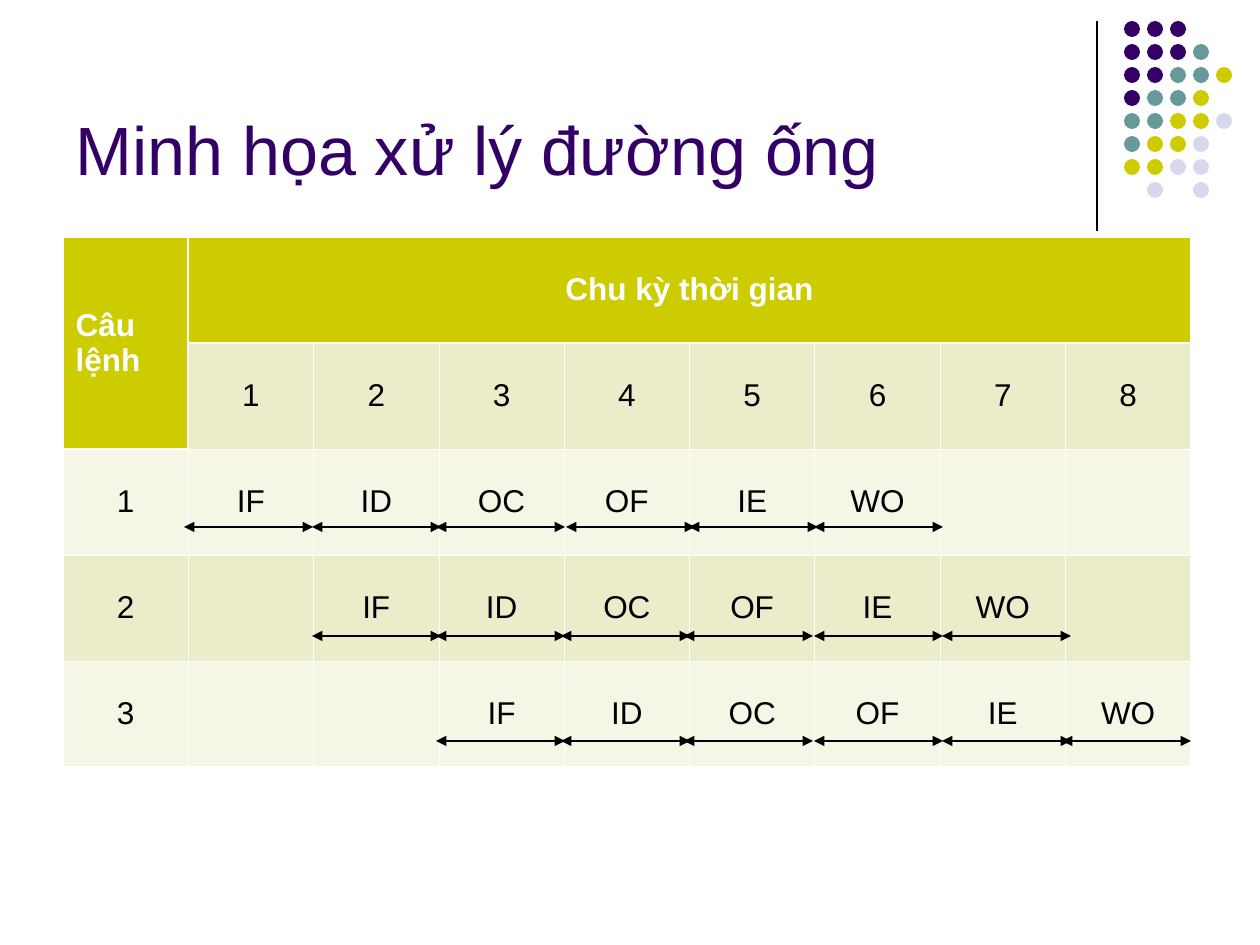
"""Build the slide that illustrates instruction pipelining."""
from dataclasses import dataclass
from typing import Optional

from lxml.etree import SubElement
from pptx import Presentation
from pptx.dml.color import RGBColor as Rgb
from pptx.enum.shapes import MSO_CONNECTOR as Connector, MSO_SHAPE as Shape
from pptx.enum.text import MSO_ANCHOR as Anchor, PP_ALIGN as Align
from pptx.oxml.ns import qn
from pptx.util import Emu, Pt

EMU_PER_PX = 914400 / 126


@dataclass(frozen=True)
class Theme:
    font: str = "Arial"
    purple: str = "330066"
    teal: str = "669999"
    olive: str = "CCCC00"
    lavender: str = "D8D8EC"
    band_dark: str = "ECECCB"
    band_light: str = "F6F6E7"
    white: str = "FFFFFF"
    black: str = "000000"
    title_pt: int = 39
    table_pt: int = 18
    divider_pt: float = 0.75
    arrow_pt: float = 1
    thin_pt: float = 0.45
    heavy_pt: float = 1.47


@dataclass(frozen=True)
class Box:
    left: int
    top: int
    width: int
    height: int

    def emu(self) -> tuple:
        return tuple(px(n) for n in (self.left, self.top, self.width, self.height))


@dataclass(frozen=True)
class Instruction:
    first_cycle: int
    arrow_y: int
    arrow_starts: tuple


THEME = Theme()
SLIDE_WIDTH, SLIDE_HEIGHT = 1260, 945
TITLE_BOX = Box(63, 16, 1040, 179)
TABLE_BOX = Box(63, 237, 1128, 530)
CYCLES = 8
STAGES = ("IF", "ID", "OC", "OF", "IE", "WO")
ARROW_LENGTH = 129
INSTRUCTIONS = (
    Instruction(1, 527, (184, 312, 436, 566, 689, 814)),
    Instruction(2, 636, (312, 436, 561, 684, 814, 942)),
    Instruction(3, 741, (436, 561, 684, 814, 942, 1062)),
)
DOT_ROWS = ("PPP", "PPPT", "PPTTO", "PTTO", "TTOOL", "TOOL", "OOLL", ".L.L")
DOT_COLOURS = {"P": THEME.purple, "T": THEME.teal, "O": THEME.olive, "L": THEME.lavender}
DOT_LEFT, DOT_TOP, DOT_PITCH, DOT_SIZE = 1124, 21, 23, 16


def px(length: int) -> Emu:
    return Emu(round(length * EMU_PER_PX))


def style_text(frame, size: int, colour: str, bold: bool = False) -> None:
    for paragraph in frame.paragraphs:
        for run in paragraph.runs:
            run.font.name = THEME.font
            run.font.size = Pt(size)
            run.font.bold = bold
            run.font.color.rgb = Rgb.from_string(colour)


def draw_line(slide, start: tuple, end: tuple, weight: float, arrows: bool = False) -> None:
    line = slide.shapes.add_connector(Connector.STRAIGHT, *map(px, start + end))
    line.line.color.rgb = Rgb.from_string(THEME.black)
    line.line.width = Pt(weight)
    properties = line._element.spPr
    if arrows:
        for tip in ("a:headEnd", "a:tailEnd"):
            SubElement(properties.find(qn("a:ln")), qn(tip), type="triangle")
    SubElement(properties, qn("a:effectLst"))


def draw_dots(slide) -> None:
    group = slide.shapes.add_group_shape()
    for row, codes in enumerate(DOT_ROWS):
        for column, code in enumerate(codes):
            if code not in DOT_COLOURS:
                continue
            place = Box(DOT_LEFT + column * DOT_PITCH, DOT_TOP + row * DOT_PITCH, DOT_SIZE, DOT_SIZE)
            dot = group.shapes.add_shape(Shape.OVAL, *place.emu())
            dot.shadow.inherit = False
            dot.fill.solid()
            dot.fill.fore_color.rgb = Rgb.from_string(DOT_COLOURS[code])
            dot.line.fill.background()


def draw_title(slide) -> None:
    title = slide.shapes.add_textbox(*TITLE_BOX.emu()).text_frame
    title.word_wrap = True
    title.vertical_anchor = Anchor.BOTTOM
    title.text = "Minh họa xử lý đường ống"
    style_text(title, THEME.title_pt, THEME.purple)


def header_region(row: int, column: int) -> Optional[str]:
    if column == 0 and row <= 1:
        return "instruction"
    return "cycles" if row == 0 else None


def border_weight(row: int, column: int, next_row: int, next_column: int) -> float:
    inside = 0 <= next_row <= len(INSTRUCTIONS) + 1 and 0 <= next_column <= CYCLES
    differs = header_region(row, column) != header_region(next_row, next_column)
    return THEME.heavy_pt if inside and differs else THEME.thin_pt


def draw_borders(cell, row: int, column: int) -> None:
    neighbours = {
        "a:lnL": (row, column - 1),
        "a:lnR": (row, column + 1),
        "a:lnT": (row - 1, column),
        "a:lnB": (row + 1, column),
    }
    for side, neighbour in neighbours.items():
        weight = Pt(border_weight(row, column, *neighbour))
        edge = SubElement(cell._tc.get_or_add_tcPr(), qn(side), w=str(weight))
        SubElement(SubElement(edge, qn("a:solidFill")), qn("a:srgbClr"), val=THEME.white)


def style_cell(cell, row: int, column: int) -> None:
    region = header_region(row, column)
    band = THEME.band_dark if row % 2 else THEME.band_light
    draw_borders(cell, row, column)
    cell.fill.solid()
    cell.fill.fore_color.rgb = Rgb.from_string(THEME.olive if region else band)
    cell.vertical_anchor = Anchor.MIDDLE
    cell.text_frame.paragraphs[0].alignment = Align.LEFT if region == "instruction" else Align.CENTER
    style_text(cell.text_frame, THEME.table_pt, THEME.white if region else THEME.black, bool(region))


def schedule_rows() -> list:
    rows = [["Câu lệnh", "Chu kỳ thời gian"] + [""] * (CYCLES - 1)]
    rows.append([""] + [str(cycle) for cycle in range(1, CYCLES + 1)])
    for number, instruction in enumerate(INSTRUCTIONS, 1):
        before = [""] * (instruction.first_cycle - 1)
        after = [""] * (CYCLES - len(before) - len(STAGES))
        rows.append([str(number), *before, *STAGES, *after])
    return rows


def draw_schedule(slide) -> None:
    rows = schedule_rows()
    schedule = slide.shapes.add_table(len(rows), CYCLES + 1, *TABLE_BOX.emu()).table
    schedule.first_row = schedule.horz_banding = False
    for row, labels in enumerate(rows):
        for column, label in enumerate(labels):
            cell = schedule.cell(row, column)
            cell.text_frame.text = label
            style_cell(cell, row, column)
    schedule.cell(0, 0).merge(schedule.cell(1, 0))
    schedule.cell(0, 1).merge(schedule.cell(0, CYCLES))


def draw_stage_arrows(slide, instruction: Instruction) -> None:
    y = instruction.arrow_y
    for start in instruction.arrow_starts:
        draw_line(slide, (start, y), (start + ARROW_LENGTH, y), THEME.arrow_pt, arrows=True)


def main() -> None:
    deck = Presentation()
    deck.slide_width, deck.slide_height = px(SLIDE_WIDTH), px(SLIDE_HEIGHT)
    slide = deck.slides.add_slide(deck.slide_layouts[6])
    draw_line(slide, (1097, 21), (1097, 231), THEME.divider_pt)
    draw_dots(slide)
    draw_title(slide)
    draw_schedule(slide)
    for instruction in INSTRUCTIONS:
        draw_stage_arrows(slide, instruction)
    deck.save("out.pptx")


if __name__ == "__main__":
    main()
